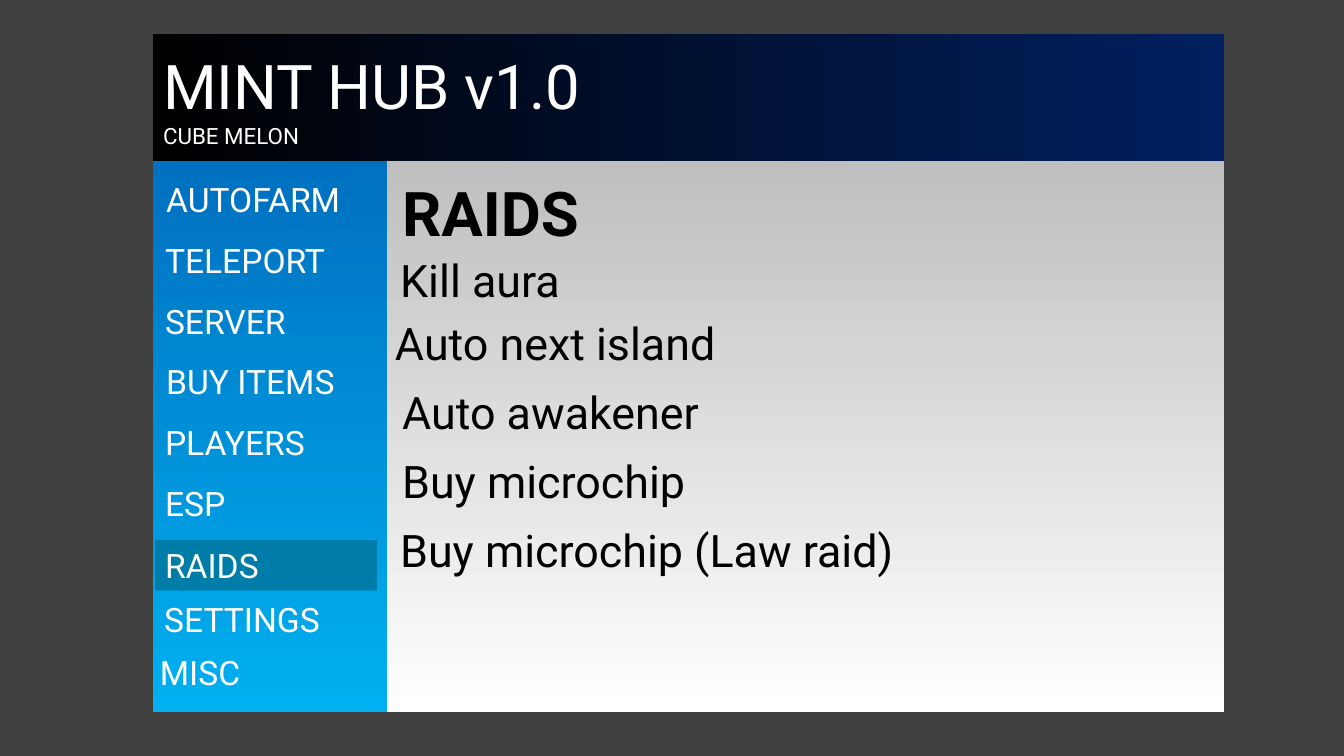
"""Build a game menu slide with a header, a sidebar and a list of raid options."""
from dataclasses import dataclass

from lxml.etree import SubElement
from pptx import Presentation
from pptx.dml.color import RGBColor
from pptx.enum.shapes import MSO_SHAPE
from pptx.enum.text import MSO_ANCHOR, MSO_AUTO_SIZE, PP_ALIGN
from pptx.oxml.ns import qn
from pptx.shapes.base import BaseShape
from pptx.slide import Slide
from pptx.text.text import TextFrame, _Paragraph
from pptx.util import Cm, Pt

FONT = "Roboto"
BACKDROP = RGBColor(0x40, 0x40, 0x40)
WHITE = RGBColor(0xFF, 0xFF, 0xFF)
BLACK = RGBColor(0x00, 0x00, 0x00)
NAVY = RGBColor(0x00, 0x20, 0x60)
BLUE = RGBColor(0x00, 0x70, 0xC0)
SKY = RGBColor(0x00, 0xB0, 0xF0)
GREY = RGBColor(0xBF, 0xBF, 0xBF)
TEAL = RGBColor(0x00, 0x7C, 0xA8)


@dataclass(frozen=True)
class Box:
    left: float
    top: float
    width: float
    height: float


@dataclass(frozen=True)
class Panel:
    box: Box
    start: RGBColor
    end: RGBColor
    angle: int


@dataclass(frozen=True)
class MenuItem:
    text: str
    left: float
    active: bool = False


@dataclass(frozen=True)
class Option:
    text: str
    indent: float
    gap: float


PANELS = (
    Panel(Box(3.86, 4.06, 5.92, 13.89), BLUE, SKY, 270),
    Panel(Box(9.75, 4.06, 21.1, 13.89), GREY, WHITE, 270),
    Panel(Box(3.86, 0.86, 27, 3.2), BLACK, NAVY, 0),
)
UPPER_MENU = (
    MenuItem("AUTOFARM", 3.94),
    MenuItem("TELEPORT", 3.91),
    MenuItem("SERVER", 3.91),
    MenuItem("BUY ITEMS", 3.94),
    MenuItem("PLAYERS", 3.91),
    MenuItem("ESP", 3.91),
)
LOWER_MENU = (
    MenuItem("RAIDS", 3.91, active=True),
    MenuItem("SETTINGS", 3.89),
    MenuItem("MISC", 3.78),
)
OPTIONS = (
    Option("Kill aura", 0.13, 6.4),
    Option("Auto next island", 0, 10.7),
    Option("Auto awakener", 0.18, 10.7),
    Option("Buy microchip", 0.18, 11.5),
    Option("Buy microchip (Law raid)", 0.13, 0),
)


def add_text(tf: TextFrame, text: str, *, size: float, color: RGBColor,
             bold: bool = False, gap: float = 0) -> _Paragraph:
    """Fill the empty first paragraph, or add one, with formatted text."""
    p = tf.paragraphs[0] if not tf.text else tf.add_paragraph()
    p.alignment = PP_ALIGN.LEFT
    p.line_spacing = 1.0
    p.space_before, p.space_after = Pt(0), Pt(gap)
    r = p.add_run()
    r.text = text
    r.font.name, r.font.size, r.font.bold = FONT, Pt(size), bold
    r.font.color.rgb = color
    return p


def set_frame(sp: BaseShape, box: Box) -> TextFrame:
    """Place a text shape and return its wrapped, top-anchored frame."""
    sp.left, sp.top = Cm(box.left), Cm(box.top)
    sp.width, sp.height = Cm(box.width), Cm(box.height)
    tf = sp.text_frame
    tf.word_wrap = True
    tf.auto_size = MSO_AUTO_SIZE.NONE
    tf.vertical_anchor = MSO_ANCHOR.TOP
    return tf


def add_box(s: Slide, box: Box) -> BaseShape:
    """Add an empty text box."""
    return s.shapes.add_textbox(Cm(box.left), Cm(box.top), Cm(box.width), Cm(box.height))


def add_panel(s: Slide, panel: Panel) -> None:
    """Add a borderless rectangle with a two-colour gradient."""
    b = panel.box
    sp = s.shapes.add_shape(MSO_SHAPE.RECTANGLE, Cm(b.left), Cm(b.top), Cm(b.width), Cm(b.height))
    sp.shadow.inherit = False
    sp.line.fill.background()
    sp.fill.gradient()
    sp.fill.gradient_angle = panel.angle
    for stop, color in zip(sp.fill.gradient_stops, (panel.start, panel.end)):
        stop.color.rgb = color


def add_menu(s: Slide, items: tuple[MenuItem, ...], top: float, pitch: float) -> None:
    """Add evenly spaced menu entries, filling the active one."""
    for i, item in enumerate(items):
        box = Box(item.left, top + i * pitch, 5.59, 1.27)
        sp = add_box(s, box)
        if item.active:
            sp.fill.solid()
            sp.fill.fore_color.rgb = TEAL
        add_text(set_frame(sp, box), item.text, size=24, color=WHITE)


def add_header(s: Slide) -> None:
    """Add the product name and the game name."""
    box = Box(3.86, 1.09, 15.09, 2.74)
    tf = set_frame(add_box(s, box), box)
    add_text(tf, "MINT HUB v1.0", size=44, color=WHITE)
    add_text(tf, "CUBE MELON", size=16, color=WHITE)


def fill_options(body: BaseShape) -> None:
    """Write the unbulleted option list into the body placeholder."""
    tf = set_frame(body, Box(9.7, 6.25, 21.21, 8.3))
    for option in OPTIONS:
        p = add_text(tf, option.text, size=32, color=BLACK, gap=option.gap)
        pPr = p._p.get_or_add_pPr()
        pPr.set("marL", str(Cm(option.indent)))
        pPr.set("indent", "0")
        SubElement(pPr, qn("a:buNone"))


def main() -> None:
    """Build and save the slide."""
    prs = Presentation()
    prs.slide_width, prs.slide_height = Cm(33.87), Cm(19.05)
    s = prs.slides.add_slide(prs.slide_layouts[1])
    s.background.fill.solid()
    s.background.fill.fore_color.rgb = BACKDROP
    title, body = s.placeholders
    for panel in PANELS:
        add_panel(s, panel)
    for sp in (title, body):
        s.shapes.element.append(sp.element)
    add_header(s)
    add_menu(s, UPPER_MENU, top=4.39, pitch=1.53)
    add_menu(s, LOWER_MENU, top=13.61, pitch=1.35)
    tf = set_frame(title, Box(9.88, 4.29, 19.69, 2.13))
    add_text(tf, "RAIDS", size=44, color=BLACK, bold=True)
    fill_options(body)
    prs.save("out.pptx")


if __name__ == "__main__":
    main()
